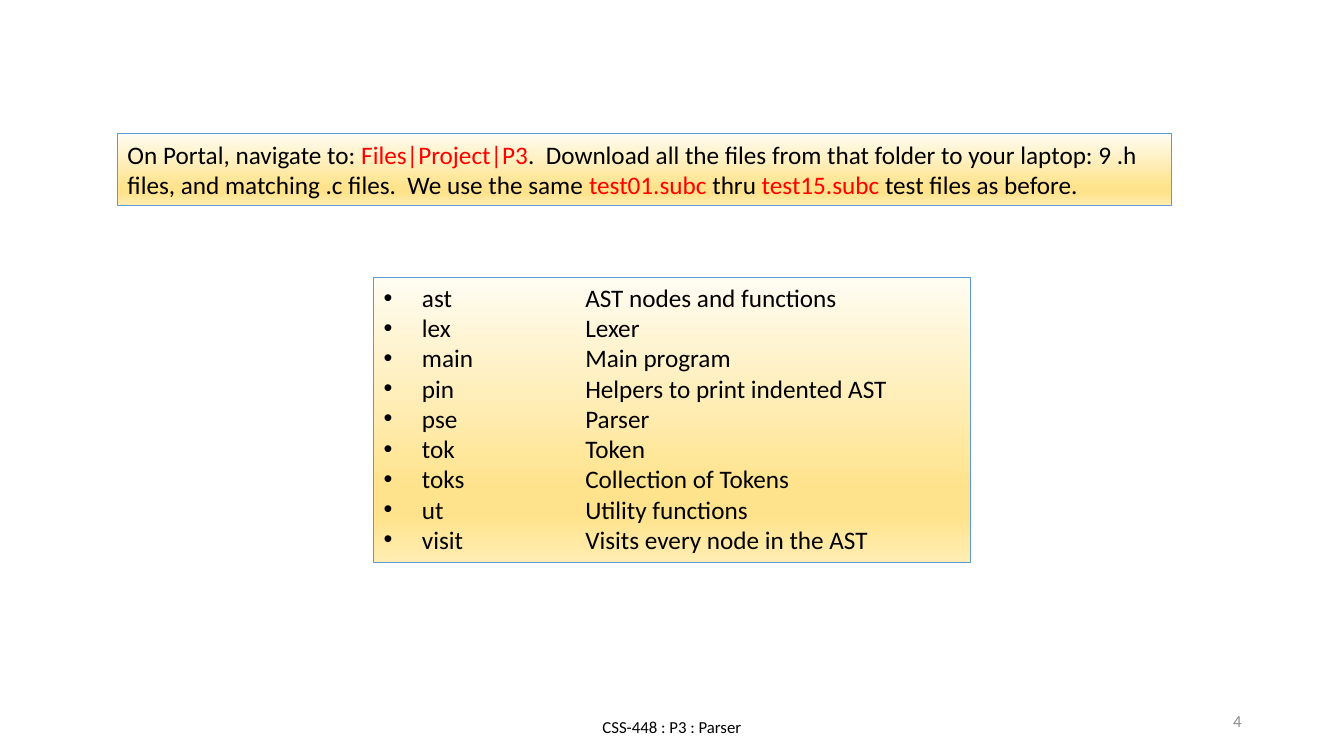
from dataclasses import dataclass

import lxml.etree
import pptx
import pptx.dml.color
import pptx.enum.shapes
import pptx.enum.text
import pptx.oxml.ns
import pptx.util

COLUMNS, ROWS = 320, 180
CELL = pptx.util.Inches(1 / 24)
FONT = "Calibri"
BLACK, RED, GREY, BLUE = "000000", "FF0000", "8C8C8C", "5B9BD5"
GOLD_STOPS = ((0, "FFFCF2"), (74, "FFE38C"), (83, "FFE38C"), (100, "FFECB2"))
HANGING_INDENT = pptx.util.Inches(0.38)
TAB_WIDTH = pptx.util.Inches(1)
ALIGN = pptx.enum.text.PP_ALIGN


@dataclass(frozen=True)
class Area:
    column: float
    row: float
    width: float
    height: float

    def lengths(self) -> list[int]:
        return [round(part * CELL) for part in (self.column, self.row, self.width, self.height)]


@dataclass(frozen=True)
class Span:
    text: str
    color: str = BLACK


@dataclass(frozen=True)
class Panel:
    area: Area
    lines: tuple[tuple[Span, ...], ...]
    bulleted: bool = False


@dataclass(frozen=True)
class Footer:
    area: Area
    span: Span
    alignment: ALIGN


MODULES = {
    "ast": "AST nodes and functions",
    "lex": "Lexer",
    "main": "Main program",
    "pin": "Helpers to print indented AST",
    "pse": "Parser",
    "tok": "Token",
    "toks": "Collection of Tokens",
    "ut": "Utility functions",
    "visit": "Visits every node in the AST",
}

INSTRUCTIONS = (
    Span("On Portal, navigate to: "),
    Span("Files|Project|P3", RED),
    Span(".  Download all the files from that folder to your laptop: 9 .h files, "
         "and matching .c files.  We use the same "),
    Span("test01.subc", RED),
    Span(" thru "),
    Span("test15.subc ", RED),
    Span("test files as before."),
)

PANELS = (
    Panel(Area(28, 31.9, 251, 17), (INSTRUCTIONS,)),
    Panel(Area(89, 66, 142, 68),
          tuple((Span(f"{name}\t\t{role}"),) for name, role in MODULES.items()),
          bulleted=True),
)

FOOTERS = (
    Footer(Area(106, 168.25, 108, 9.6), Span("CSS-448 : P3 : Parser"), ALIGN.CENTER),
    Footer(Area(226, 166.8, 72, 9.6), Span("4", GREY), ALIGN.RIGHT),
)


def paint(color_format: pptx.dml.color.ColorFormat, color: str) -> None:
    color_format.rgb = pptx.dml.color.RGBColor.from_string(color)


def write_line(para, spans: tuple[Span, ...], size: int, alignment: ALIGN) -> None:
    para.alignment = alignment
    para.font.name = FONT
    para.font.size = pptx.util.Pt(size)
    for span in spans:
        run = para.add_run()
        run.text = span.text
        paint(run.font.color, span.color)


def add_bullet(para) -> None:
    qualify = pptx.oxml.ns.qn
    properties = para._p.get_or_add_pPr()
    properties.set("marL", str(HANGING_INDENT))
    properties.set("indent", str(-HANGING_INDENT))
    properties.set("defTabSz", str(TAB_WIDTH))
    properties.insert(0, lxml.etree.Element(qualify("a:buFont"), typeface="Arial"))
    properties.insert(1, lxml.etree.Element(qualify("a:buChar"), char="•"))


def fill_gold(shape) -> None:
    qualify = pptx.oxml.ns.qn
    shape.fill.gradient()
    shape.fill.gradient_angle = 270
    stops = shape.element.spPr.find(".//" + qualify("a:gsLst"))
    for stop in list(stops):
        stops.remove(stop)
    for percent, color in GOLD_STOPS:
        stop = lxml.etree.SubElement(stops, qualify("a:gs"), pos=str(percent * 1000))
        lxml.etree.SubElement(stop, qualify("a:srgbClr"), val=color)


def draw_panel(page, panel: Panel) -> None:
    box = page.shapes.add_shape(pptx.enum.shapes.MSO_SHAPE.RECTANGLE, *panel.area.lengths())
    box.shadow.inherit = False
    fill_gold(box)
    paint(box.line.color, BLUE)
    box.line.width = pptx.util.Pt(0.75)
    frame = box.text_frame
    frame.word_wrap = True
    frame.auto_size = pptx.enum.text.MSO_AUTO_SIZE.SHAPE_TO_FIT_TEXT
    frame.vertical_anchor = pptx.enum.text.MSO_ANCHOR.TOP
    for index, spans in enumerate(panel.lines):
        para = frame.add_paragraph() if index else frame.paragraphs[0]
        write_line(para, spans, 18, ALIGN.LEFT)
        if panel.bulleted:
            add_bullet(para)


def draw_footer(page, footer: Footer) -> None:
    box = page.shapes.add_textbox(*footer.area.lengths())
    frame = box.text_frame
    frame.word_wrap = True
    frame.vertical_anchor = pptx.enum.text.MSO_ANCHOR.MIDDLE
    write_line(frame.paragraphs[0], (footer.span,), 12, footer.alignment)


def main() -> None:
    deck = pptx.Presentation()
    deck.slide_width = COLUMNS * CELL
    deck.slide_height = ROWS * CELL
    page = deck.slides.add_slide(deck.slide_layouts[6])
    for footer in FOOTERS:
        draw_footer(page, footer)
    for panel in PANELS:
        draw_panel(page, panel)
    deck.save("out.pptx")


if __name__ == "__main__":
    main()
